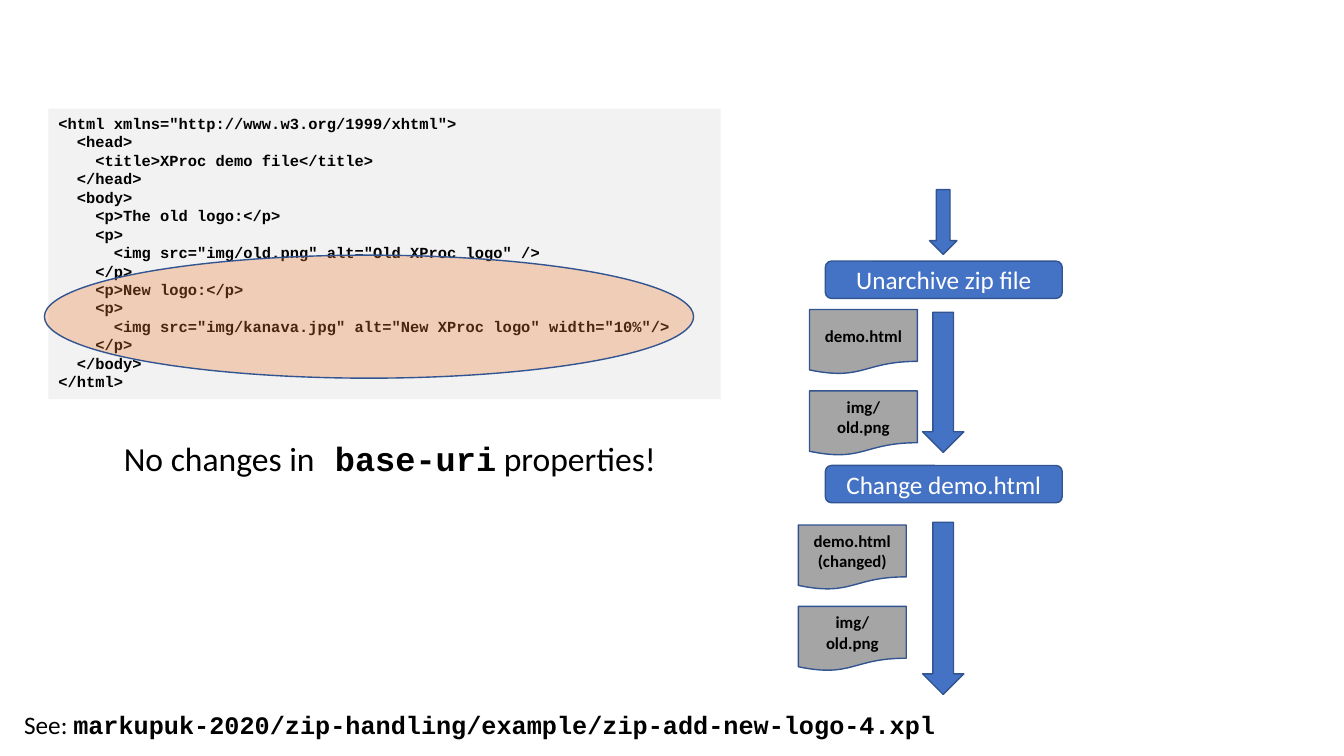
from lxml import etree
from pptx import Presentation
from pptx import util as u
from pptx.dml.color import RGBColor
from pptx.enum import shapes, text
from pptx.oxml.ns import qn

# Content
CODE = """<html xmlns="http://www.w3.org/1999/xhtml">
  <head>
    <title>XProc demo file</title>
  </head>
  <body>
    <p>The old logo:</p>
    <p>
      <img src="img/old.png" alt="Old XProc logo" />
    </p>
    <p>New logo:</p>
    <p>
      <img src="img/kanava.jpg" alt="New XProc logo" width="10%"/>
    </p>
  </body>
</html>"""
# Step label, top
STEPS = [("Unarchive zip file", 6.58), ("Change demo.html", 11.73)]
# Arrow top, width, height
ARROWS = [(4.78, 0.69, 1.63), (7.87, 1.04, 3.53), (13.16, 1.04, 4.34)]
# Left and top of each group of files, then the names
FILES = [
    (20.4, 7.8, ["demo.html", "img/\vold.png"]),
    (20.12, 13.23, ["demo.html\v(changed)", "img/\vold.png"]),
]
# Left, top, width, height, size, (words, is code)
NOTES = [
    (2.87, 10.92, 15.39, 1.27, 24,
     [("No changes in", False), (" base-uri", True), (" properties!", False)]),
    (0.36, 17.75, 26.59, 1.8, 18,
     [("See: ", False),
      ("markupuk-2020/zip-handling/example/zip-add-new-logo-4.xpl", True)]),
]
HUE = {"step": "4472C4", "edge": "325491", "code": "F2F2F2", "mark": "ED7D31",
       "file": "A5A5A5", "ink": "000000", "white": "FFFFFF"}
SANS, MONO = "Calibri", "Courier New"
KIND = shapes.MSO_SHAPE
MID = 23.77  # centre of the arrows
FILE_GAP = 2.05

deck = Presentation()
deck.slide_width, deck.slide_height = u.Cm(33.87), u.Cm(19.05)
slide = deck.slides.add_slide(deck.slide_layouts[6])


def style(run, size, face, hue, bold=False):
    font = run.font
    font.size, font.name, font.bold = u.Pt(size), face, bold
    font.color.rgb = RGBColor.from_string(HUE[hue])


def draw(kind, box, fill, edge=True):
    shape = slide.shapes.add_shape(kind, *map(u.Cm, box))
    shape.shadow.inherit = False
    shape.fill.solid()
    shape.fill.fore_color.rgb = RGBColor.from_string(HUE[fill])
    if edge:
        shape.line.color.rgb = RGBColor.from_string(HUE["edge"])
        shape.line.width = u.Pt(1)
    else:
        shape.line.fill.background()
    return shape


def label(shape, words, size, hue, bold=False):
    para = shape.text_frame.paragraphs[0]
    para.text = words
    para.alignment = text.PP_ALIGN.CENTER
    for run in para.runs:
        style(run, size, SANS, hue, bold)


# Steps and arrows
for words, top in STEPS:
    step = draw(KIND.ROUNDED_RECTANGLE, (20.8, top, 5.97, 0.94), "step")
    label(step, words, 18, "white")
for top, wide, high in ARROWS:
    draw(KIND.DOWN_ARROW, (MID - wide / 2, top, wide, high), "step")

# Code panel
panel = draw(KIND.RECTANGLE, (1.22, 2.74, 16.94, 7.32), "code", edge=False)
frame = panel.text_frame
frame.vertical_anchor = text.MSO_ANCHOR.TOP
frame.text = CODE
for para in frame.paragraphs:
    para.alignment = text.PP_ALIGN.LEFT
    for run in para.runs:
        style(run, 11, MONO, "ink", True)

# See-through mark over the new lines
mark = draw(KIND.OVAL, (1.12, 6.43, 16.36, 3.1), "mark")
tint = mark.fill._xPr.find(qn("a:solidFill"))[0]
etree.SubElement(tint, qn("a:alpha"), val="31000")

# Files between the steps
for left, top, names in FILES:
    for i, name in enumerate(names):
        box = (left, top + i * FILE_GAP, 2.72, 1.63)
        label(draw(KIND.FLOWCHART_DOCUMENT, box, "file"), name, 12, "ink", True)

# Notes
for *box, size, parts in NOTES:
    frame = slide.shapes.add_textbox(*map(u.Cm, box)).text_frame
    frame.word_wrap = True
    for words, code in parts:
        run = frame.paragraphs[0].add_run()
        run.text = words
        style(run, size, MONO if code else SANS, "ink", code)

deck.save("out.pptx")
